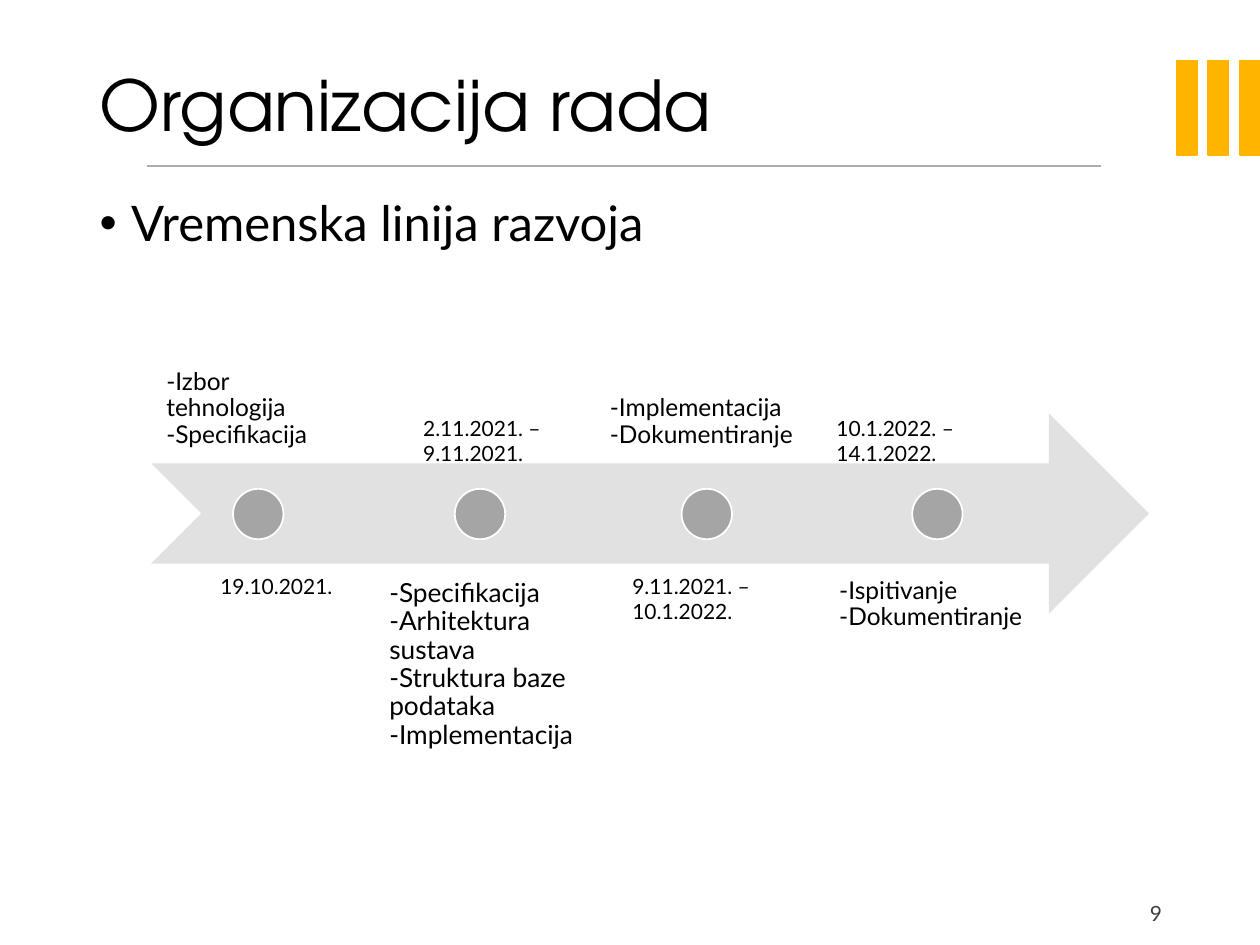
from lxml.etree import SubElement
from pptx import Presentation
from pptx.dml.color import RGBColor
from pptx.enum.shapes import MSO_CONNECTOR, MSO_SHAPE
from pptx.enum.text import MSO_ANCHOR, MSO_AUTO_SIZE, PP_ALIGN
from pptx.oxml.ns import qn
from pptx.util import Inches, Pt

COLORS = {
    "accent": "FFB400",
    "rule": "AFABAB",
    "arrow": "E1E1E1",
    "dot": "A5A5A5",
    "white": "FFFFFF",
    "text": "000000",
    "number": "404040",
}
TITLE_FONT = "TeX Gyre Adventor"
BODY_FONT = "Lato"

DOT_LEFTS = [1.85, 3.61, 5.41, 7.24]
PHASES = [
    (1.21, 1.69, 14, ["-Izbor tehnologija", "-Specifikacija"]),
    (2.97, 1.7, 15, ["-Specifikacija", "-Arhitektura sustava",
                     "-Struktura baze podataka", "-Implementacija"]),
    (4.73, 1.75, 14, ["-Implementacija", "-Dokumentiranje"]),
    (6.55, 1.78, 14, ["-Ispitivanje", "-Dokumentiranje"]),
]
DATES = [
    (1.65, 4.5, 0.3, "19.10.2021."),
    (3.26, 3.25, 0.5, "2.11.2021. – 9.11.2021."),
    (4.92, 4.5, 0.5, "9.11.2021. – 10.1.2022."),
    (6.54, 3.25, 0.5, "10.1.2022. – 14.1.2022."),
]


def color(name):
    return RGBColor.from_string(COLORS[name])


def write_lines(paragraph, lines, size, font=BODY_FONT, color_name="text"):
    for index, line in enumerate(lines):
        if index:
            paragraph.add_line_break()
        run = paragraph.add_run()
        run.text = line
        run.font.size = Pt(size)
        run.font.name = font
        run.font.color.rgb = color(color_name)


def add_shape(slide, kind, left, top, width, height, fill, line=None):
    shape = slide.shapes.add_shape(
        kind, Inches(left), Inches(top), Inches(width), Inches(height))
    shape.shadow.inherit = False
    shape.fill.solid()
    shape.fill.fore_color.rgb = color(fill)
    if line:
        shape.line.color.rgb = color(line)
        shape.line.width = Pt(1)
    else:
        shape.line.fill.background()


def add_text(slide, left, top, width, height, lines, size, color_name="text",
             anchor=MSO_ANCHOR.TOP, align=PP_ALIGN.LEFT, inset=None, spacing=None):
    box = slide.shapes.add_textbox(
        Inches(left), Inches(top), Inches(width), Inches(height))
    frame = box.text_frame
    frame.word_wrap = True
    frame.vertical_anchor = anchor
    if inset:
        frame.margin_left = frame.margin_right = Inches(inset)
        frame.margin_top = frame.margin_bottom = Inches(inset)
    paragraph = frame.paragraphs[0]
    paragraph.alignment = align
    paragraph.line_spacing = spacing
    write_lines(paragraph, lines, size, color_name=color_name)


def fill_placeholder(placeholder, top, height, text, size, font, anchor):
    placeholder.left, placeholder.top = Inches(0.69), Inches(top)
    placeholder.width, placeholder.height = Inches(8.62), Inches(height)
    frame = placeholder.text_frame
    frame.auto_size = MSO_AUTO_SIZE.NONE
    frame.vertical_anchor = anchor
    paragraph = frame.paragraphs[0]
    paragraph.alignment = PP_ALIGN.LEFT
    paragraph.line_spacing = 0.9
    write_lines(paragraph, [text], size, font)
    return paragraph


def set_bullet(paragraph, character, indent):
    properties = paragraph._p.get_or_add_pPr()
    properties.set("marL", str(Inches(indent)))
    properties.set("indent", str(-Inches(indent)))
    SubElement(properties, qn("a:buFont")).set("typeface", "Arial")
    SubElement(properties, qn("a:buChar")).set("char", character)


def add_rule(slide, left, right, top):
    rule = slide.shapes.add_connector(
        MSO_CONNECTOR.STRAIGHT, Inches(left), Inches(top), Inches(right), Inches(top))
    rule.line.color.rgb = color("rule")
    rule.line.width = Pt(1)
    SubElement(rule._element.spPr, qn("a:effectLst"))


def add_timeline(slide):
    add_shape(slide, MSO_SHAPE.NOTCHED_RIGHT_ARROW, 1.2, 3.28, 7.92, 1.59, "arrow")
    for index, (left, width, size, lines) in enumerate(PHASES):
        above = index % 2 == 0
        add_text(slide, left, 2.08 if above else 4.48, width, 1.59, lines, size,
                 anchor=MSO_ANCHOR.BOTTOM if above else MSO_ANCHOR.TOP,
                 inset=0.12 if size == 15 else 0.11, spacing=0.9)
    for left in DOT_LEFTS:
        add_shape(slide, MSO_SHAPE.OVAL, left, 3.88, 0.4, 0.4, "dot", "white")
    for left, top, height, date in DATES:
        add_text(slide, left, top, 1.15, height, [date], 12)


def main():
    presentation = Presentation()
    presentation.slide_width = Inches(10)
    presentation.slide_height = Inches(7.5)
    slide = presentation.slides.add_slide(presentation.slide_layouts[1])

    for index in range(3):
        add_shape(slide, MSO_SHAPE.RECTANGLE, 9.34 + 0.25 * index, 0.48, 0.16, 0.75,
                  "accent", "accent")
    add_rule(slide, 1.17, 8.74, 1.32)
    fill_placeholder(slide.shapes.title, 0.4, 0.92, "Organizacija rada", 40,
                     TITLE_FONT, MSO_ANCHOR.MIDDLE)
    heading = fill_placeholder(slide.placeholders[1], 1.53, 5.39,
                               "Vremenska linija razvoja", 28, BODY_FONT, MSO_ANCHOR.TOP)
    heading.space_before = Pt(10)
    set_bullet(heading, "•", 0.25)
    add_timeline(slide)
    add_text(slide, 8.74, 7.1, 0.58, 0.4, ["9"], 12, "number", align=PP_ALIGN.RIGHT)

    presentation.save("out.pptx")


if __name__ == "__main__":
    main()
